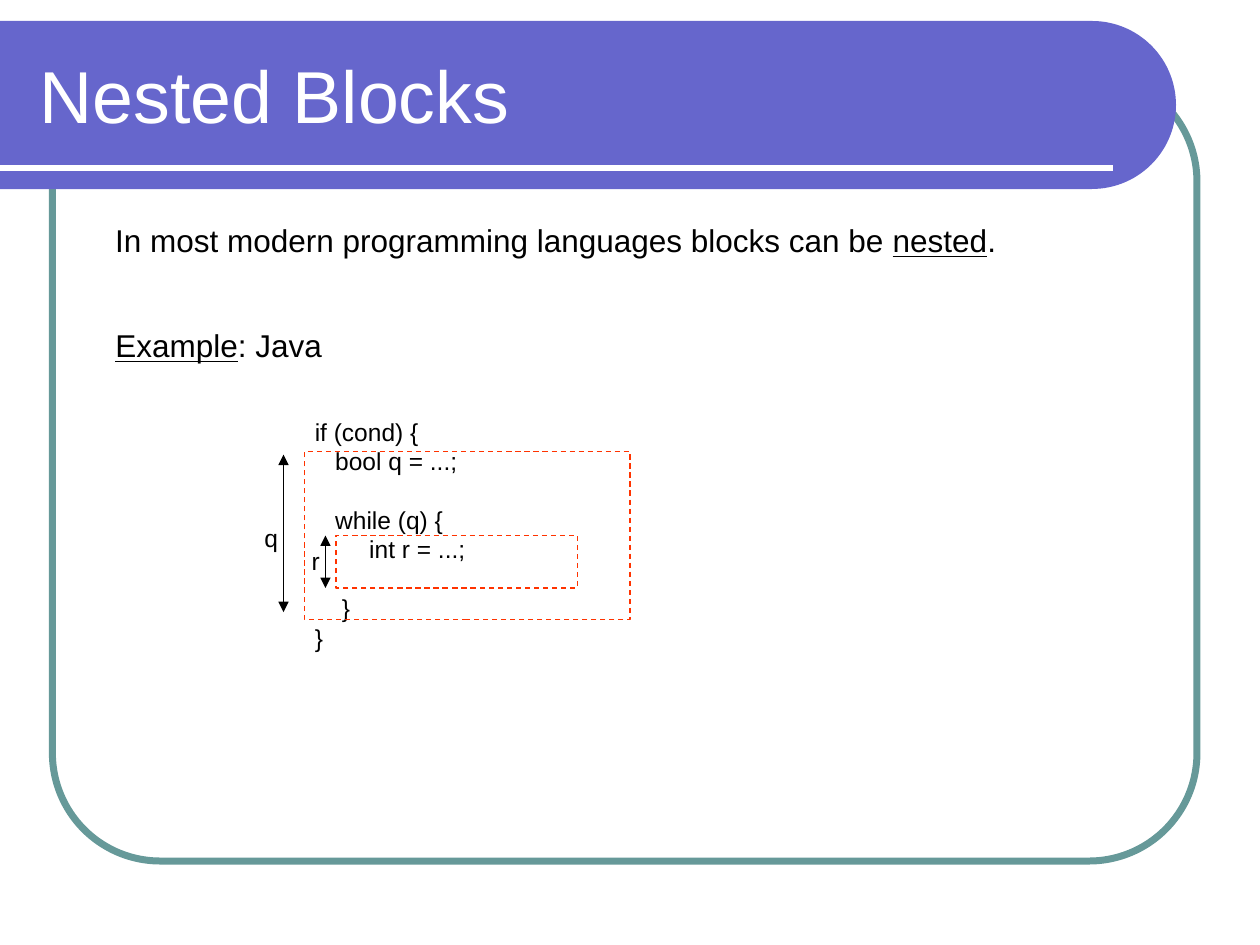
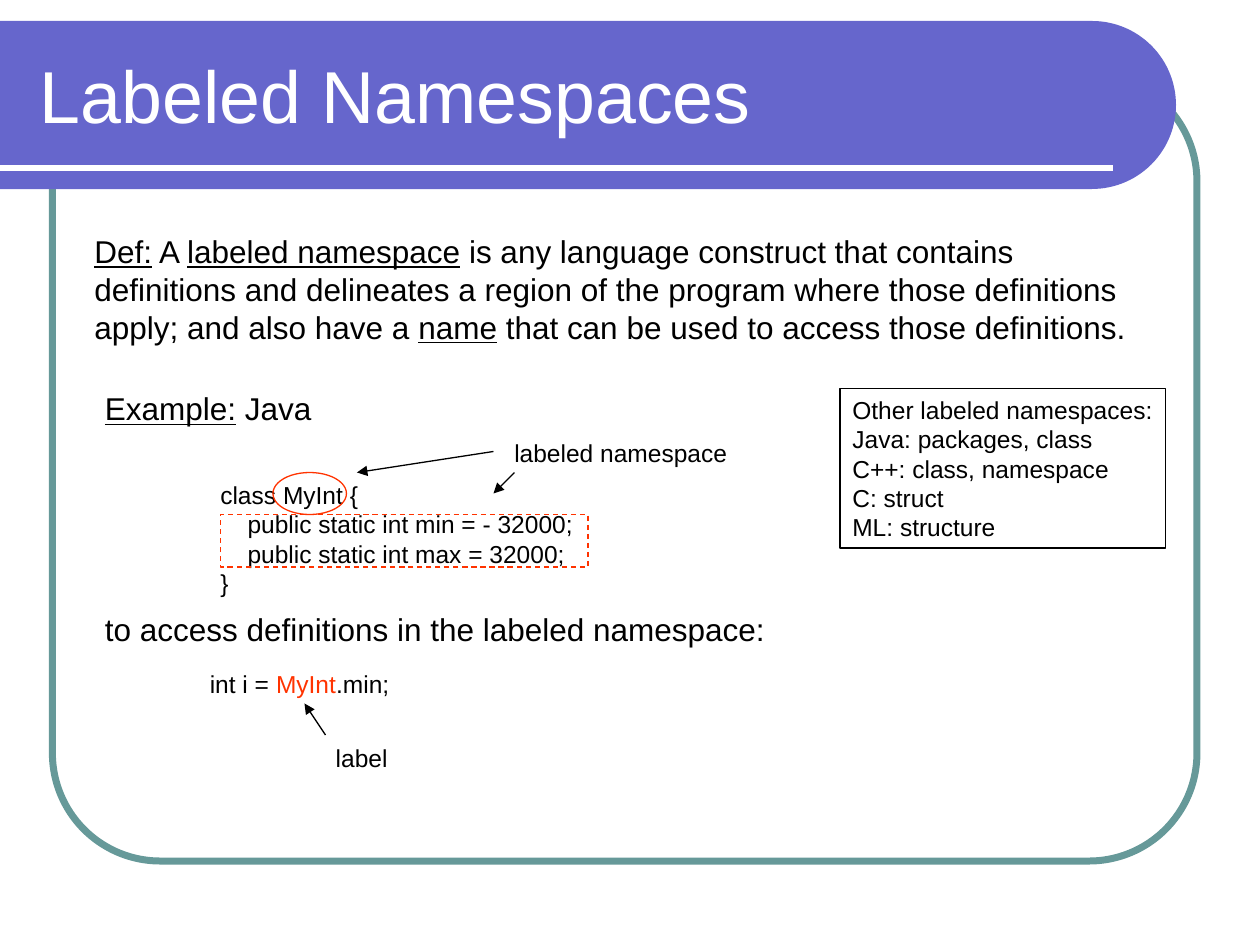
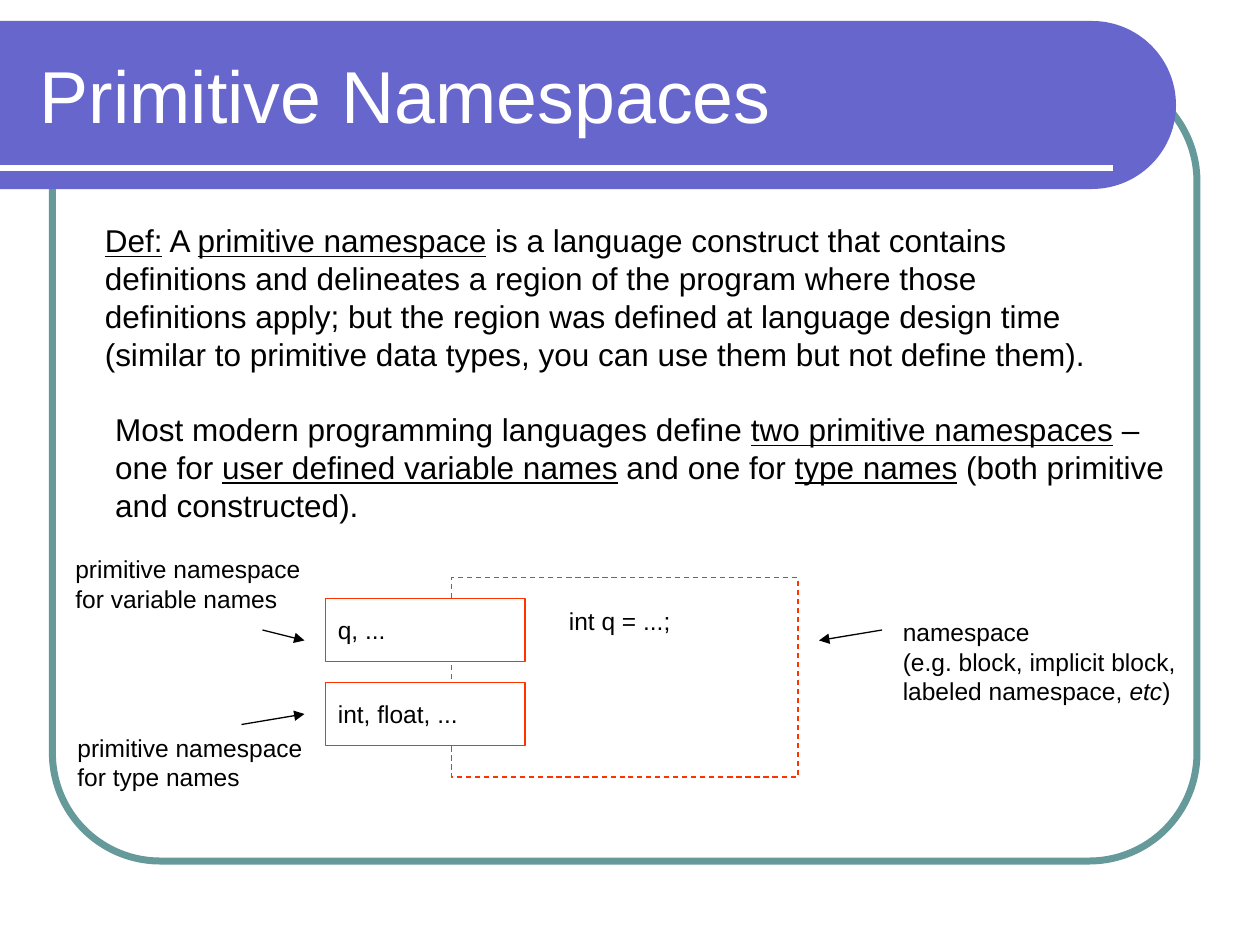
from dataclasses import dataclass
from math import cos, pi, sin

from lxml.etree import SubElement
from pptx import Presentation
from pptx.dml.color import RGBColor
from pptx.enum.dml import MSO_LINE
from pptx.enum.shapes import MSO_CONNECTOR, MSO_SHAPE
from pptx.enum.text import MSO_ANCHOR
from pptx.oxml.ns import qn
from pptx.util import Inches, Pt

# Shared look
FONT = "Arial"
BLACK, WHITE, RED = "000000", "FFFFFF", "FF3300"
BAND, FRAME = "6666CC", "669999"
TITLE, BODY, SMALL = 42, 18, 14
LINE_HEIGHT = 1.2      # share of the text size
SPACE_WIDTH = 0.278    # share of the text size
INSET_X, INSET_Y = 0.1, 0.05
CELLS_PER_INCH = 12    # grid of 120 columns by 90 rows
COLUMNS, ROWS = 120, 90
SLACK = 0.6            # spare cells that keep each line whole

SPAN_STYLES = {
    "plain": {},
    "under": {"underline": True},
    "italic": {"italic": True},
    "red": {"color": RED},
}


@dataclass
class Line:
    """One paragraph: spans, indent in characters, empty lines above."""
    spans: tuple
    indent: int = 0
    gap: int = 0


def line(*spans, indent=0, gap=0):
    return Line(spans, indent, gap)


def under(text):
    return text, "under"


# Content: positions in grid cells, from back to front
# text: left, top, width, size, lines
# box: left, top, width, height, format; arrow: start, end, format
SLIDES = [
    ("Nested Blocks", [
        ("text", 9.8, 20.5, 86.3, BODY, [
            line("In most modern programming languages blocks can be ",
                 under("nested"), ".")]),
        ("text", 9.8, 30.5, 22.1, BODY, [line(under("Example"), ": Java")]),
        ("text", 28.8, 39.1, 16.7, SMALL, [
            line("if (cond) {"),
            line("bool q = ...;", indent=3),
            line("while (q) {", indent=3, gap=1),
            line("int r = ...;", indent=8),
            line("}", indent=4, gap=1),
            line("}")]),
        ("box", 29, 43, 31, 16, {"dashed": True}),
        ("box", 32, 51, 23, 5, {"dashed": True}),
        ("arrow", (31, 51), (31, 56), {"both": True}),
        ("arrow", (27, 43.3), (27, 58.3), {"both": True}),
        ("text", 24, 49.2, 3.7, SMALL, [line("q")]),
        ("text", 28.5, 51.4, 3.1, SMALL, [line("r")]),
    ]),
    ("Labeled Namespaces", [
        ("text", 7.8, 21.5, 100.6, BODY, [
            line(under("Def:"), " A ", under("labeled namespace"),
                 " is any language construct that contains"),
            line("definitions and delineates a region of the program "
                 "where those definitions"),
            line("apply; and also have a ", under("name"),
                 " that can be used to access those definitions.")]),
        ("text", 8.8, 36.5, 22.1, BODY, [line(under("Example:"), " Java")]),
        ("text", 19.8, 45.1, 36, SMALL, [
            line("class MyInt {"),
            line("public static int min = - 32000;", indent=4),
            line("public static int max = 32000;", indent=4),
            line("}")]),
        ("box", 21, 49, 35, 5, {"dashed": True}),
        ("text", 47.8, 41.1, 22.7, SMALL, [line("labeled namespace")]),
        ("arrow", (49, 45), (47, 47), {}),
        ("box", 26, 45, 7, 4, {"shape": MSO_SHAPE.OVAL}),
        ("arrow", (47, 43), (34, 45), {}),
        ("text", 8.8, 57.5, 65.3, BODY, [
            line("to access definitions in the labeled namespace:")]),
        ("text", 18.8, 63.1, 19.4, SMALL, [
            line("int i = ", ("MyInt", "red"), ".min;")]),
        ("text", 30.8, 70.2, 7.3, SMALL, [line("label")]),
        ("arrow", (31, 70), (29, 67), {}),
        ("box", 80, 37, 31, 15.2, {
            "color": BLACK, "anchor": MSO_ANCHOR.TOP, "wrap": False,
            "lines": [
                line("Other labeled namespaces:"),
                line("Java: packages, class"),
                line("C++: class, namespace"),
                line("C: struct"),
                line("ML: structure")]}),
    ]),
    ("Primitive Namespaces", [
        ("text", 8.8, 20.5, 95.8, BODY, [
            line(under("Def:"), " A ", under("primitive namespace"),
                 " is a language construct that contains"),
            line("definitions and delineates a region of the program "
                 "where those"),
            line("definitions apply; but the region was defined "
                 "at language design time"),
            line("(similar to primitive data types, "
                 "you can use them but not define them).")]),
        ("text", 9.8, 38.5, 103.1, BODY, [
            line("Most modern programming languages define ",
                 under("two primitive namespaces"), " –"),
            line("one for ", under("user defined variable names"),
                 " and one for ", under("type names"), " (both primitive"),
            line("and constructed).")]),
        ("box", 43, 55, 33, 19, {"dashed": True}),
        ("text", 53, 57.1, 12.1, SMALL, [line("int q = ...;")]),
        ("box", 31, 57, 19, 6, {"fill": WHITE, "lines": [line("q, ...")]}),
        ("box", 31, 65, 19, 6, {"fill": WHITE,
                                "lines": [line("int, float, ...")]}),
        ("text", 84.8, 58.2, 28.3, SMALL, [
            line("namespace"),
            line("(e.g. block, implicit block,"),
            line("labeled namespace, ", ("etc", "italic"), ")")]),
        ("arrow", (84, 60), (78, 61), {}),
        ("text", 6, 52.2, 23.9, SMALL, [
            line("primitive namespace"), line("for variable names")]),
        ("arrow", (25, 60), (29, 61), {}),
        ("text", 6.2, 69.2, 23.9, SMALL, [
            line("primitive namespace"), line("for type names")]),
        ("arrow", (23, 69), (29, 68), {}),
    ]),
]


# Helpers
def cells(*values):
    return [Inches(value / CELLS_PER_INCH) for value in values]


def rgb(color):
    return RGBColor.from_string(color)


def paint(shape, fill=None, color=None, width=0.75, dashed=False):
    shape.shadow.inherit = False
    if fill:
        shape.fill.solid()
        shape.fill.fore_color.rgb = rgb(fill)
    else:
        shape.fill.background()
    if color:
        shape.line.color.rgb = rgb(color)
        shape.line.width = Pt(width)
        if dashed:
            shape.line.dash_style = MSO_LINE.DASH
    else:
        shape.line.fill.background()


def write(shape, lines, size, color=BLACK, anchor=MSO_ANCHOR.TOP, wrap=True):
    frame = shape.text_frame
    settings = {
        "word_wrap": wrap, "vertical_anchor": anchor,
        "margin_left": Inches(INSET_X), "margin_right": Inches(INSET_X),
        "margin_top": Inches(INSET_Y), "margin_bottom": Inches(INSET_Y),
    }
    for name, value in settings.items():
        setattr(frame, name, value)
    for number, item in enumerate(lines):
        para = frame.add_paragraph() if number else frame.paragraphs[0]
        para.line_spacing = Pt(size * LINE_HEIGHT)
        para.space_before = Pt(item.gap * size * LINE_HEIGHT)
        properties = para._p.get_or_add_pPr()
        properties.set("algn", "l")
        properties.set("marL", str(Pt(item.indent * size * SPACE_WIDTH)))
        properties.set("indent", "0")
        for part in item.spans:
            text, style = (part, "plain") if isinstance(part, str) else part
            span = para.add_run()
            span.text = text
            look = {"name": FONT, "size": Pt(size), "color": color,
                    **SPAN_STYLES[style]}
            span.font.color.rgb = rgb(look.pop("color"))
            for name, value in look.items():
                setattr(span.font, name, value)


def add_text(page, left, top, width, size, lines):
    rows = sum(1 + item.gap for item in lines)
    height = rows * size * LINE_HEIGHT / 72 + 2 * INSET_Y
    box = page.shapes.add_textbox(*cells(left, top, width + SLACK),
                                  Inches(height))
    write(box, lines, size)


def add_box(page, left, top, width, height, look):
    box = page.shapes.add_shape(look.get("shape", MSO_SHAPE.RECTANGLE),
                                *cells(left, top, width, height))
    paint(box, look.get("fill"), look.get("color", RED),
          dashed=look.get("dashed", False))
    if "lines" in look:
        write(box, look["lines"], SMALL, wrap=look.get("wrap", True),
              anchor=look.get("anchor", MSO_ANCHOR.MIDDLE))


def add_line(page, start, end, color, width):
    connector = page.shapes.add_connector(MSO_CONNECTOR.STRAIGHT,
                                          *cells(*start, *end))
    connector.line.color.rgb = rgb(color)
    connector.line.width = Pt(width)
    SubElement(connector._element.spPr, qn("a:effectLst"))
    return connector


def add_arrow(page, start, end, look):
    arrow = add_line(page, start, end, BLACK, 0.75)
    outline = arrow.line._get_or_add_ln()
    for tag in ("a:headEnd", "a:tailEnd") if look.get("both") else ("a:tailEnd",):
        SubElement(outline, qn(tag), type="triangle")


def add_background(page, title):
    # Rounded frame
    frame = page.shapes.add_shape(MSO_SHAPE.ROUNDED_RECTANGLE,
                                  *cells(5, 7, 109, 75))
    frame.adjustments[0] = 0.137
    paint(frame, color=FRAME, width=4)

    # Title band with a half-round right end
    top, radius, center = 2, 8, 104
    steps = 60
    arc = [(center + radius * cos(angle), top + radius + radius * sin(angle))
           for angle in (pi * (step / steps - 0.5) for step in range(steps + 1))]
    outline = [cells(*point) for point in arc + [(0, top + 2 * radius)]]
    builder = page.shapes.build_freeform(*cells(0, top))
    builder.add_line_segments(outline, close=True)
    paint(builder.convert_to_shape(), fill=BAND)
    add_line(page, (0, 16), (106, 16), WHITE, 3)

    # Title
    box = page.shapes.add_textbox(*cells(2.6, 3, 105.2, 12))
    write(box, [line(title)], TITLE, WHITE, MSO_ANCHOR.MIDDLE)


def main():
    deck = Presentation()
    deck.slide_width, deck.slide_height = cells(COLUMNS, ROWS)
    draw = {"text": add_text, "box": add_box, "arrow": add_arrow}
    for title, items in SLIDES:
        page = deck.slides.add_slide(deck.slide_layouts[6])
        add_background(page, title)
        for kind, *details in items:
            draw[kind](page, *details)
    deck.save("out.pptx")


if __name__ == "__main__":
    main()
